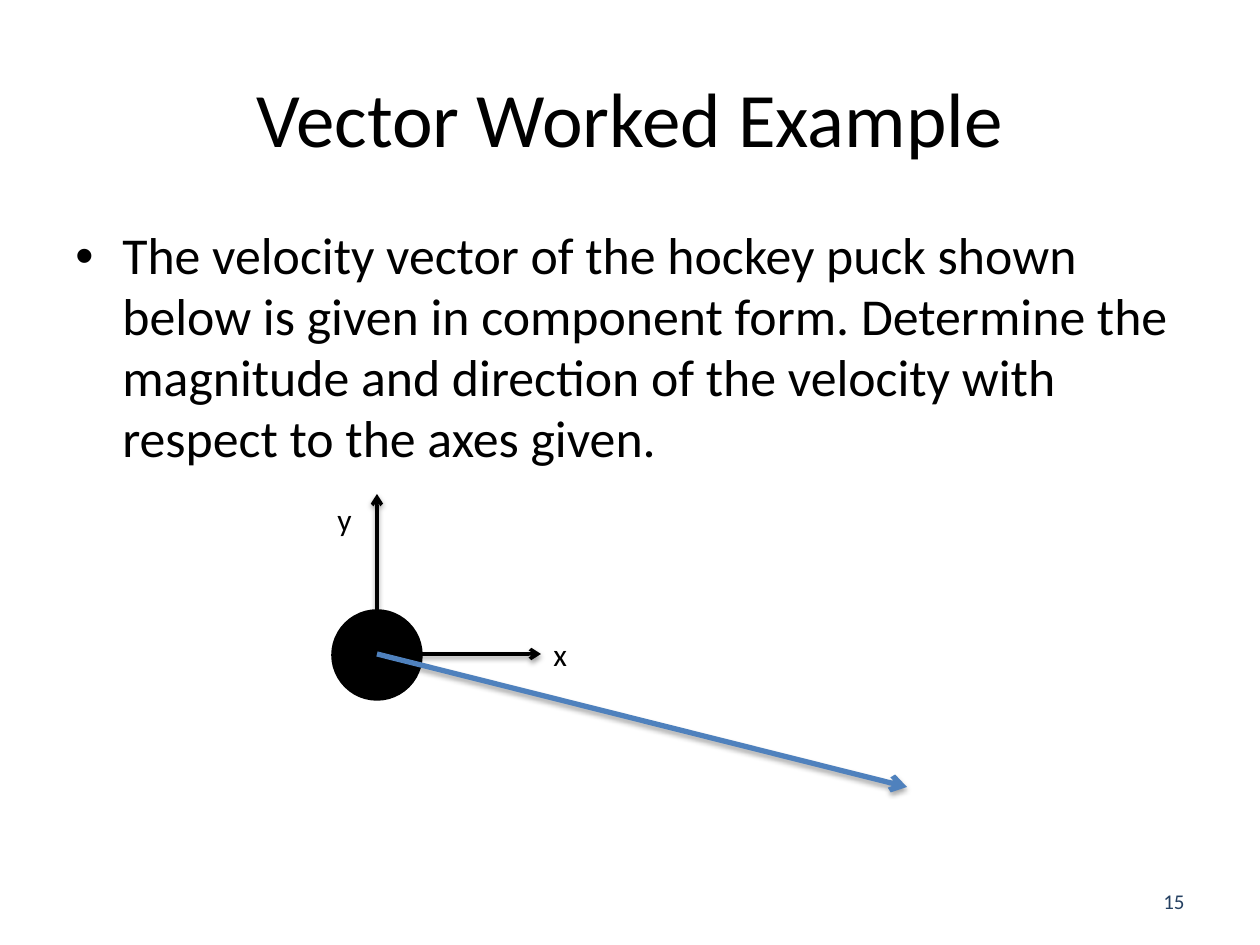
from lxml import etree
from pptx import Presentation
from pptx.dml.color import RGBColor
from pptx.enum.shapes import MSO_CONNECTOR, MSO_SHAPE
from pptx.enum.text import MSO_ANCHOR, PP_ALIGN
from pptx.oxml.ns import qn
from pptx.util import Emu, Pt

LEFT, CENTER, RIGHT = PP_ALIGN.LEFT, PP_ALIGN.CENTER, PP_ALIGN.RIGHT
TOP, MIDDLE = MSO_ANCHOR.TOP, MSO_ANCHOR.MIDDLE
FONT = "Calibri"
BLACK, NAVY, BLUE = "000000", "254061", "4F81BD"
PX = 914400 / 126

# Text: wording, box in px, size, colour, alignment, anchor, wrap
TITLE = ("Vector Worked Example", (63, 38, 1134, 157), 44, BLACK, CENTER, MIDDLE, True)
BODY = ("The velocity vector of the hockey puck shown below is given in component form. "
        "Determine the magnitude and direction of the velocity with respect to the axes given.",
        (63, 220, 1134, 247), 29.6, BLACK, LEFT, TOP, True)
LABELS = [
    ("15", (903, 876, 294, 50), 12, NAVY, RIGHT, MIDDLE, True),
    ("x", (541, 629, 39, 50), 18, BLACK, LEFT, TOP, False),
    ("y", (325, 494, 40, 50), 18, BLACK, LEFT, TOP, False),
]
INDENT = 47

# Diagram: arrows leave the centre of the puck
ORIGIN = (377, 654)
PUCK = (333, 611, 88, 88)
AXES = [(541, 654), (377, 494)]
VELOCITY = (907, 787)


def px(n):
    return Emu(round(n * PX))


def rgb(value):
    return RGBColor.from_string(value)


def add_text(text, box, size, color, align, anchor, wrap):
    tf = s.shapes.add_textbox(*map(px, box)).text_frame
    tf.word_wrap = wrap
    tf.vertical_anchor = anchor
    p = tf.paragraphs[0]
    p.text = text
    p.alignment = align
    p.font.name, p.font.size = FONT, Pt(size)
    p.font.color.rgb = rgb(color)
    return p


def add_bullet(p):
    pPr = p._p.get_or_add_pPr()
    pPr.set("marL", str(px(INDENT)))
    pPr.set("indent", str(-px(INDENT)))
    font = etree.Element(qn("a:buFont"), typeface="Arial")
    char = etree.Element(qn("a:buChar"), char="•")
    pPr.insert(0, font)
    font.addnext(char)


def add_arrow(end, color, width, alpha, distance):
    c = s.shapes.add_connector(MSO_CONNECTOR.STRAIGHT, *map(px, ORIGIN + end))
    c.line.color.rgb = rgb(color)
    c.line.width = Pt(width)
    etree.SubElement(c.line._get_or_add_ln(), qn("a:tailEnd"), type="arrow")
    # Soft shadow straight below the line
    effects = etree.SubElement(c._element.spPr, qn("a:effectLst"))
    shadow = etree.SubElement(effects, qn("a:outerShdw"), blurRad=str(Pt(3.1)),
                              dist=str(Pt(distance)), dir="5400000", rotWithShape="0")
    shade = etree.SubElement(shadow, qn("a:srgbClr"), val=BLACK)
    etree.SubElement(shade, qn("a:alpha"), val=str(alpha * 1000))


prs = Presentation()
prs.slide_width, prs.slide_height = px(1260), px(945)
s = prs.slides.add_slide(prs.slide_layouts[6])

# Title and problem statement
add_text(*TITLE)
body = add_text(*BODY)
body.line_spacing = 0.98
add_bullet(body)

# Axes, then labels and slide number
for tip in AXES:
    add_arrow(tip, BLACK, 2, 38, 1.6)
for label in LABELS:
    add_text(*label)

# Puck
puck = s.shapes.add_shape(MSO_SHAPE.OVAL, *map(px, PUCK))
puck.shadow.inherit = False
puck.fill.solid()
puck.fill.fore_color.rgb = rgb(BLACK)
puck.line.color.rgb = rgb(BLACK)
puck.line.width = Pt(2)

# Velocity vector
add_arrow(VELOCITY, BLUE, 3, 35, 1.8)

prs.save("out.pptx")
